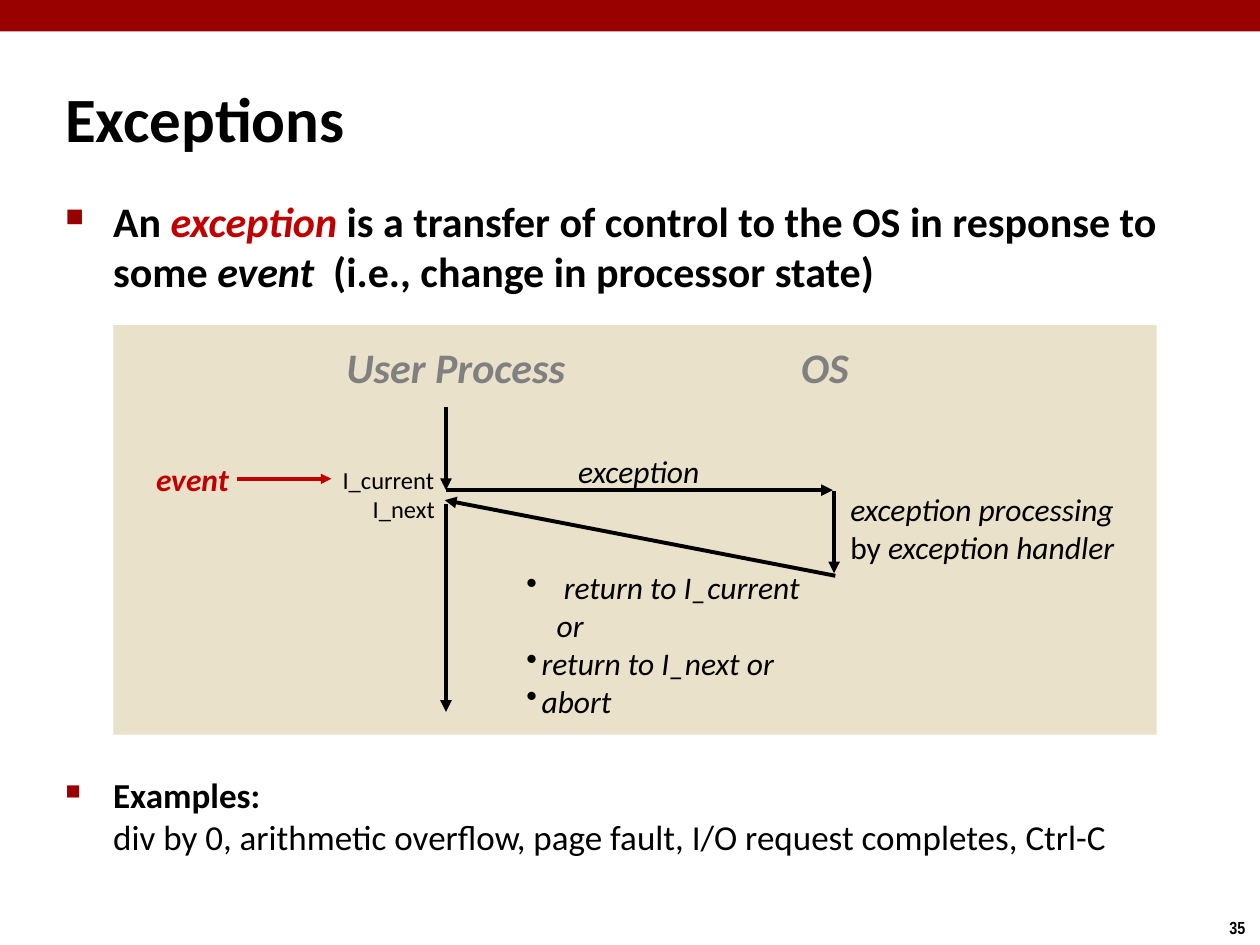
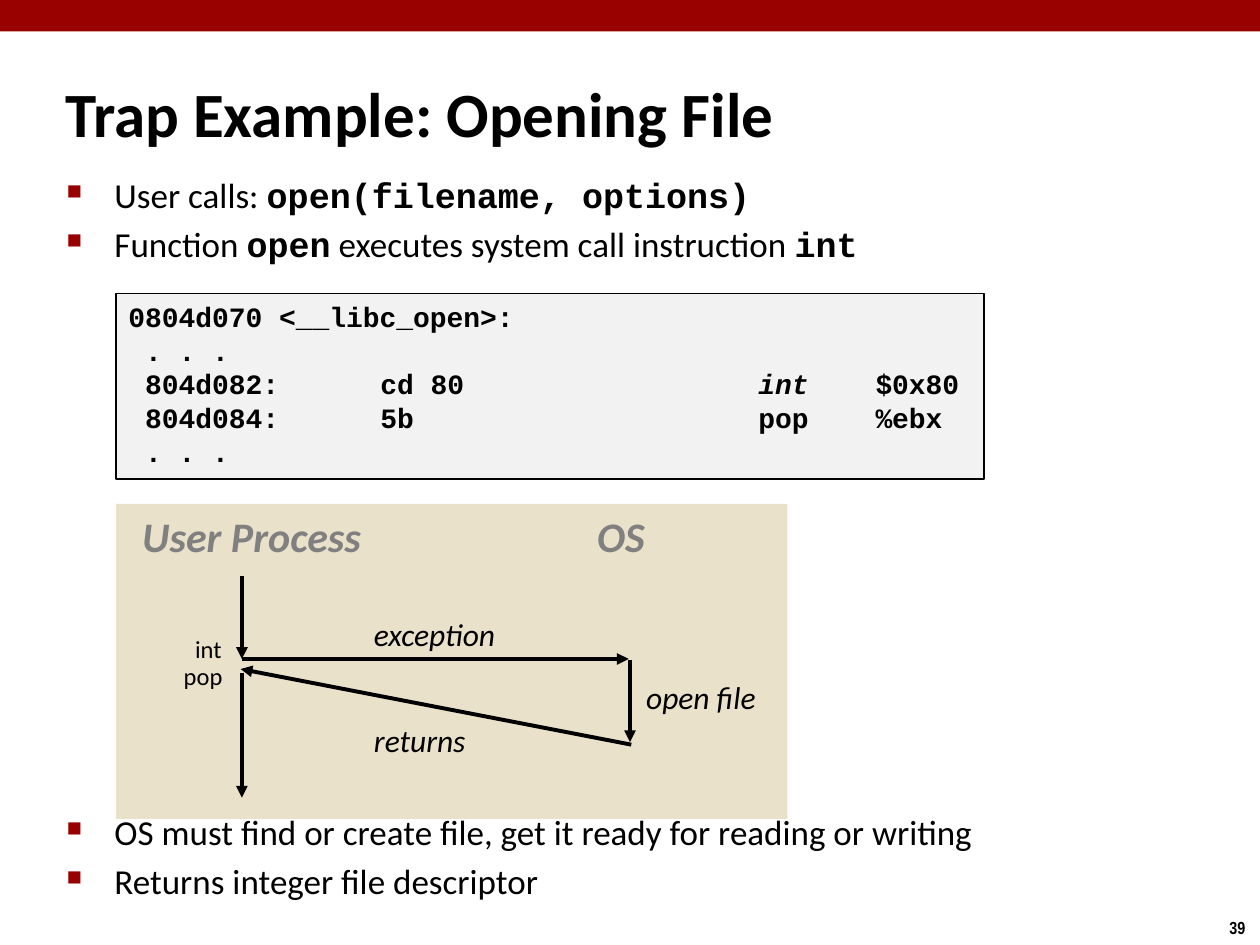
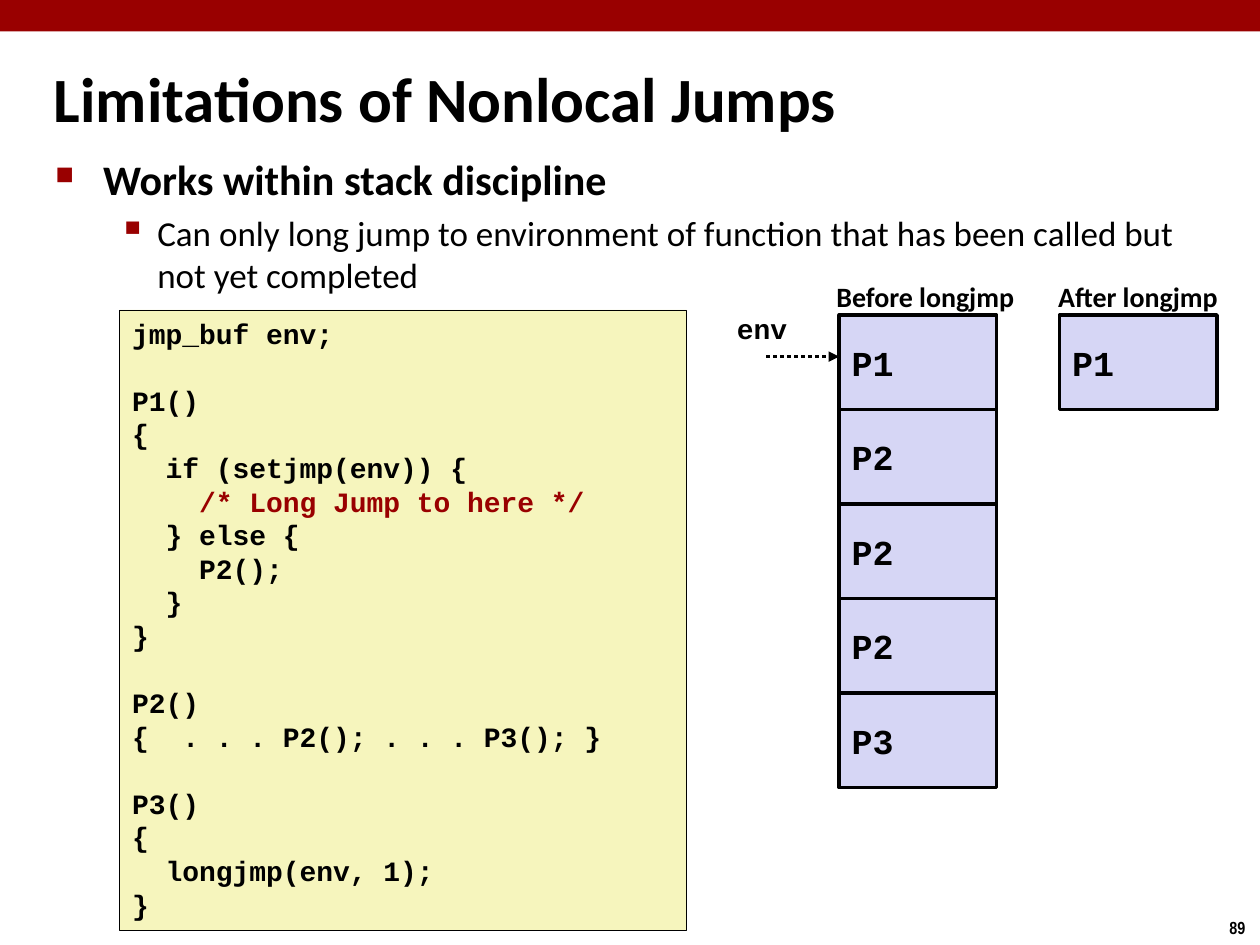
from lxml import etree
from pptx import Presentation
from pptx.dml.color import RGBColor
from pptx.enum.dml import MSO_LINE
from pptx.enum.shapes import MSO_CONNECTOR, MSO_SHAPE
from pptx.enum.text import MSO_ANCHOR, PP_ALIGN
from pptx.oxml.ns import qn
from pptx.util import Inches, Pt

RECTANGLE = MSO_SHAPE.RECTANGLE
STRAIGHT = MSO_CONNECTOR.STRAIGHT
DOTTED = MSO_LINE.ROUND_DOT
TOP, MIDDLE = MSO_ANCHOR.TOP, MSO_ANCHOR.MIDDLE
LEFT = PP_ALIGN.LEFT

BLACK = RGBColor(0x00, 0x00, 0x00)
GRAY = RGBColor(0x80, 0x80, 0x80)
BAND_RED = RGBColor(0x99, 0x00, 0x00)
ACCENT_RED = RGBColor(0xC0, 0x00, 0x00)
PANEL_TAN = RGBColor(0xE9, 0xE1, 0xC9)
CODE_GRAY = RGBColor(0xF2, 0xF2, 0xF2)
CODE_YELLOW = RGBColor(0xF6, 0xF5, 0xBD)
FRAME_BLUE = RGBColor(0xD6, 0xD6, 0xF5)

BODY_FONT = "Calibri"
CODE_FONT = "Courier New"
CODE_LEADING = Pt(19.2)
CODE = {"font": CODE_FONT, "bold": True}
ITALIC = {"italic": True}

# Bullets: character, percent of text size, colour, left margin, hanging indent
MAIN_BULLET = ("■", 60, "990000", 0.38, 0.38)
SUB_BULLET = ("▪", 110, "990000", 0.81, 0.31)
WIDE_DOT = ("•", 100, "000000", 0.24, 0.24)
TIGHT_DOT = ("•", 100, "000000", 0.12, 0.12)


def add_text(slide, box, paragraphs, size, bullets=(), wrap=False, anchor=TOP,
             fill=None, line_width=None, tabs=(), leading=None, **base_style):
    """Add text; a paragraph is a string or a list of strings and (text, style) runs."""
    place = [Inches(value) for value in box]
    if fill is None:
        shape = slide.shapes.add_textbox(*place)
    else:
        shape = slide.shapes.add_shape(RECTANGLE, *place)
        shape.shadow.inherit = False
        shape.fill.solid()
        shape.fill.fore_color.rgb = fill
        if line_width is None:
            shape.line.fill.background()
        else:
            shape.line.color.rgb = BLACK
            shape.line.width = Pt(line_width)
    frame = shape.text_frame
    frame.word_wrap = wrap
    frame.vertical_anchor = anchor
    for index, runs in enumerate(paragraphs):
        paragraph = frame.add_paragraph() if index else frame.paragraphs[0]
        paragraph.alignment = LEFT
        if leading:
            paragraph.line_spacing = leading
        properties = paragraph._p.get_or_add_pPr()
        if bullets:
            character, percent, color, margin, hanging = bullets[index]
            properties.set("marL", str(Inches(margin)))
            properties.set("indent", str(-Inches(hanging)))
            if index and character != "•":
                paragraph.space_before = Pt(4)
            bullet_color = etree.SubElement(properties, qn("a:buClr"))
            etree.SubElement(bullet_color, qn("a:srgbClr"), val=color)
            etree.SubElement(properties, qn("a:buSzPct"), val=str(percent * 1000))
            etree.SubElement(properties, qn("a:buChar"), char=character)
        if tabs:
            tab_list = etree.SubElement(properties, qn("a:tabLst"))
            for position in tabs:
                etree.SubElement(tab_list, qn("a:tab"), pos=str(Inches(position)), algn="l")
        for part in [runs] if isinstance(runs, str) else runs:
            text, changes = (part, {}) if isinstance(part, str) else part
            if text == "\n":
                paragraph.add_line_break()
                continue
            style = {**base_style, **changes}
            run = paragraph.add_run()
            run.text = text
            run.font.size = Pt(size)
            run.font.name = style.get("font", BODY_FONT)
            run.font.color.rgb = style.get("color", BLACK)
            run.font.bold = style.get("bold", False)
            run.font.italic = style.get("italic", False)
    return shape


def add_arrow(slide, start, end, color=BLACK, width=2.25, dash=None):
    ends = [Inches(value) for value in (*start, *end)]
    arrow = slide.shapes.add_connector(STRAIGHT, *ends)
    arrow.line.color.rgb = color
    arrow.line.width = Pt(width)
    if dash:
        arrow.line.dash_style = dash
    properties = arrow._element.spPr
    etree.SubElement(properties.find(qn("a:ln")), qn("a:tailEnd"), type="triangle")
    etree.SubElement(properties, qn("a:effectLst"))


presentation = Presentation()
presentation.slide_width = Inches(10)
presentation.slide_height = Inches(7.5)

# Shared parts: band, title and page number
slides = []
for title, number, box, anchor in [
    ("Exceptions", "35", (0.42, 0.58, 3.67, 0.63), TOP),
    ("Trap Example: Opening File", "39", (0.42, 0.58, 7.5, 0.63), MIDDLE),
    ("Limitations of Nonlocal Jumps", "89", (0.33, 0.46, 7.85, 0.63), MIDDLE),
]:
    slide = presentation.slides.add_slide(presentation.slide_layouts[6])
    band = slide.shapes.add_shape(RECTANGLE, 0, 0, presentation.slide_width, Inches(0.25))
    band.shadow.inherit = False
    band.fill.solid()
    band.fill.fore_color.rgb = BAND_RED
    band.line.fill.background()
    add_text(slide, box, [title], 36, wrap=True, anchor=anchor, bold=True)
    add_text(slide, (9.66, 7.23, 0.34, 0.27), [number], 10, font="Arial Narrow", bold=True)
    slides.append(slide)
exceptions, trap, jumps = slides

# Control flow diagrams: the user process runs at x, the exception is raised at y
for slide, panel_box, x, y, finish, label_top in [
    (exceptions, (0.9, 2.58, 8.28, 3.25), 3.54, 3.89, 5.65, 3.54),
    (trap, (0.92, 4, 5.33, 2.5), 1.92, 5.23, 6.33, 4.83),
]:
    panel = slide.shapes.add_shape(RECTANGLE, *[Inches(value) for value in panel_box])
    panel.shadow.inherit = False
    panel.fill.solid()
    panel.fill.fore_color.rgb = PANEL_TAN
    panel.line.fill.background()
    for heading, offset, width in [("User Process", -0.89, 1.97), ("OS", 2.72, 0.59)]:
        add_text(slide, (x + offset, y - 1.23, width, 0.5), [heading], 24,
                 color=GRAY, bold=True, italic=True)
    for start, end in [
        ((x, y - 0.66), (x, y)),
        ((x, y), (x + 3.07, y)),
        ((x + 3.08, y + 0.01), (x + 3.08, y + 0.66)),
        ((x + 3.09, y + 0.68), (x - 0.01, y + 0.08)),
        ((x, y + 0.11), (x, finish)),
    ]:
        add_arrow(slide, start, end)
    add_text(slide, (x + 0.95, label_top, 1.17, 0.4), ["exception"], 18, italic=True)

# Instruction labels beside the user process
for slide, label, box in [
    (exceptions, "I_current", (2.62, 3.64, 0.95, 0.34)),
    (exceptions, "I_next", (2.86, 3.87, 0.71, 0.34)),
    (trap, "int", (1.45, 4.98, 0.42, 0.34)),
    (trap, "pop", (1.36, 5.2, 0.51, 0.34)),
]:
    add_text(slide, box, [label], 14)

# Exceptions: definition and examples
add_text(exceptions, (0.42, 1.5, 9.5, 0.95), [[
    "An ", ("exception", {"color": ACCENT_RED, "italic": True}),
    " is a transfer of control to the OS in response to some ", ("event", ITALIC),
    "  (i.e., change in processor state)",
]], 24, bullets=[MAIN_BULLET], wrap=True, bold=True)
add_text(exceptions, (0.42, 6.09, 9.5, 0.8), [[
    ("Examples:", {"bold": True}), "\n",
    "div by 0, arithmetic overflow, page fault, I/O request completes, Ctrl-C",
]], 20, bullets=[MAIN_BULLET], wrap=True)

# Exceptions: event, handler and outcomes
add_text(exceptions, (1.14, 3.6, 0.88, 0.4), ["event"], 18,
         color=ACCENT_RED, bold=True, italic=True)
add_arrow(exceptions, (1.88, 3.8), (2.63, 3.8), ACCENT_RED, 2)
add_text(exceptions, (6.65, 3.84, 2.35, 1.01), [
    "exception processing",
    [("by ", {"italic": False}), "exception handler"],
], 18, wrap=True, italic=True)
add_text(exceptions, (4.08, 4.46, 2.51, 1.01),
         [" return to I_current or", "return to I_next or", "abort"], 18,
         bullets=[WIDE_DOT, TIGHT_DOT, TIGHT_DOT], wrap=True, italic=True)

# Trap: statements above and below the diagram
add_text(trap, (0.43, 1.33, 9.15, 0.9), [
    ["User calls: ", ("open(filename, options)", CODE)],
    ["Function ", ("open", CODE), " executes system call instruction ", ("int", CODE)],
], 20, bullets=[MAIN_BULLET] * 2, wrap=True)
add_text(trap, (0.43, 6.38, 9.15, 0.85), [
    "OS must find or create file, get it ready for reading or writing",
    "Returns integer file descriptor",
], 20, bullets=[MAIN_BULLET] * 2, wrap=True)

# Trap: disassembly and diagram labels
add_text(trap, (0.92, 2.33, 6.89, 1.47), [
    "0804d070 <__libc_open>:",
    " . . .",
    [" 804d082:\tcd 80\t", ("int", ITALIC), "\t$0x80"],
    " 804d084:\t5b\tpop\t%ebx",
    " . . .",
], 16, wrap=True, fill=CODE_GRAY, line_width=1, tabs=(2, 5, 5.93),
    leading=CODE_LEADING, **CODE)
add_text(trap, (5.03, 5.33, 1.33, 0.4), ["open file"], 18, wrap=True, italic=True)
add_text(trap, (2.87, 5.67, 0.93, 0.4), ["returns"], 18, italic=True)

# Jumps: statement
add_text(jumps, (0.34, 1.17, 9.09, 0.5), ["Works within stack discipline"], 24,
         bullets=[MAIN_BULLET], wrap=True, bold=True)
add_text(jumps, (0.34, 1.63, 9.09, 0.8), [
    "Can only long jump to environment of function that has been called but not yet completed",
], 20, bullets=[SUB_BULLET], wrap=True)

# Jumps: program, with a gap above each function
program = add_text(jumps, (0.95, 2.46, 4.5, 4.92), [
    "jmp_buf env;",
    "P1()",
    "{",
    "  if (setjmp(env)) {",
    ["    ", ("/* Long Jump to here */", {"color": BAND_RED})],
    "  } else {",
    "    P2();",
    "  }",
    "}",
    "P2()",
    "{  . . . P2(); . . . P3(); }",
    "P3()",
    "{",
    "  longjmp(env, 1);",
    "}",
], 16, wrap=True, fill=CODE_YELLOW, line_width=0.25, leading=CODE_LEADING, **CODE)
for paragraph in program.text_frame.paragraphs:
    if paragraph.text in ("P1()", "P2()", "P3()"):
        paragraph.space_before = CODE_LEADING

# Jumps: stack before and after
for heading, heading_left, heading_width, left, functions in [
    ("Before longjmp", 6.54, 1.63, 6.66, ["P1", "P2", "P2", "P2", "P3"]),
    ("After longjmp", 8.3, 1.49, 8.41, ["P1"]),
]:
    add_text(jumps, (heading_left, 2.17, heading_width, 0.37), [heading], 16, bold=True)
    for row, function in enumerate(functions):
        add_text(jumps, (left, 2.5 + 0.75 * row, 1.25, 0.75), [function], 20, wrap=True,
                 anchor=MIDDLE, fill=FRAME_BLUE, line_width=2, **CODE)
add_text(jumps, (5.75, 2.42, 0.6, 0.37), ["env"], 16, **CODE)
add_arrow(jumps, (6.08, 2.83), (6.66, 2.83), width=2, dash=DOTTED)

presentation.save("out.pptx")
